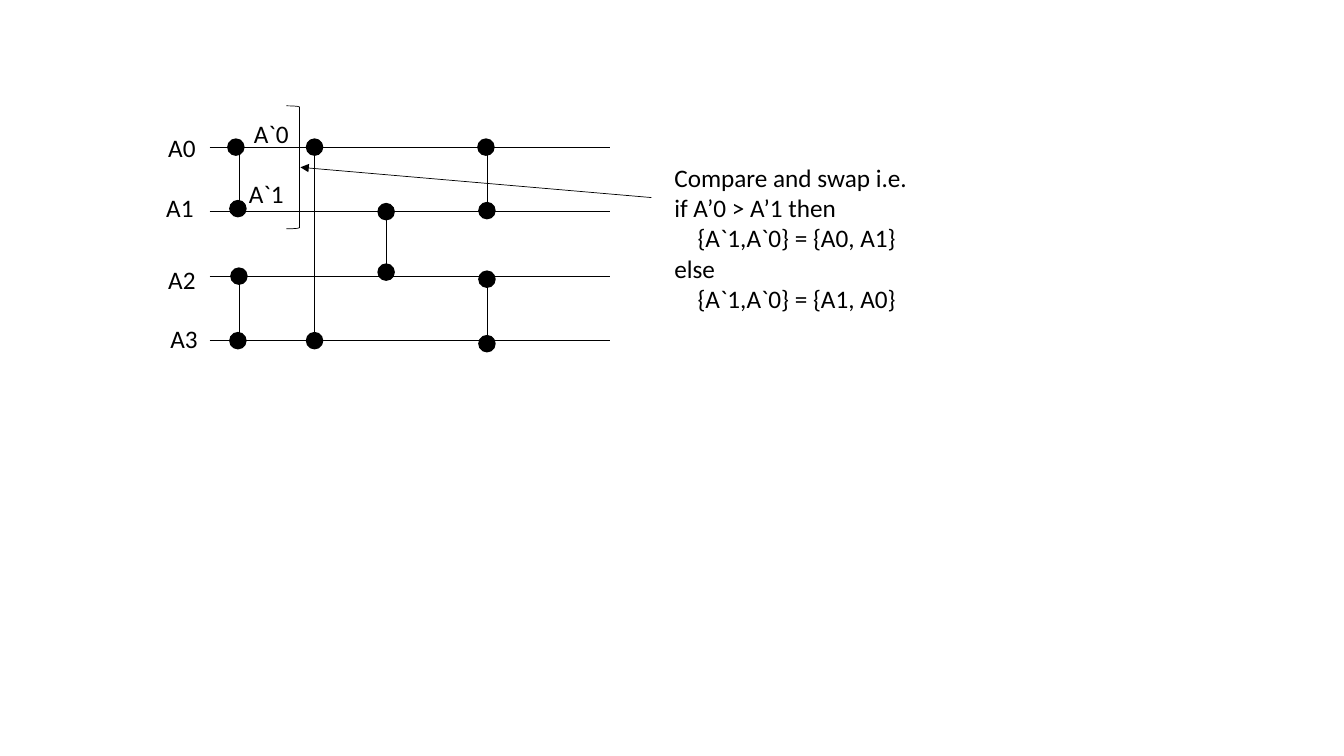
"""Build a slide showing a four-input compare-and-swap sorting network."""
from pptx import Presentation
from pptx.dml.color import RGBColor as RGB
from pptx.enum.shapes import MSO_CONNECTOR as CONN, MSO_SHAPE as SHAPE
from pptx.enum.text import MSO_AUTO_SIZE as AUTO
from pptx.oxml.ns import qn
from pptx.util import Pt
from lxml.etree import SubElement

PX = 9144
SLIDE = (1333, 750)
THEME = {
    "ink": RGB(0, 0, 0),
    "thin": Pt(0.5),
    "outline": Pt(1),
    "font": {"name": "Calibri", "size": Pt(18)},
    "frame": {"word_wrap": True, "auto_size": AUTO.SHAPE_TO_FIT_TEXT},
}

WIRE_LEFT, WIRE_RIGHT, WIRE_TOP, WIRE_GAP, WIRES = 208, 605, 146, 64, 4
COMPARATORS = [
    (237, 0, 1, (234, 146), (236, 207)),
    (237, 2, 3, (237, 274), (236, 338)),
    (312, 0, 3, (312, 146), (312, 338)),
    (383, 1, 2, (383, 210), (383, 270)),
    (483, 0, 1, (482, 146), (483, 209)),
    (483, 2, 3, (483, 277), (483, 341)),
]
DOT = 16
BRACKET = (284, 105, 13, 122)
ARROW = (646, 196, 298, 166)
INDENT = 23
LABELS = [
    ((157, 126, 58, 40), [("A0", 0)]),
    ((155, 186, 58, 40), [("A1", 0)]),
    ((157, 257, 58, 40), [("A2", 0)]),
    ((159, 316, 58, 40), [("A3", 0)]),
    ((242, 112, 70, 40), [("A`0", 0)]),
    ((237, 172, 70, 40), [("A`1", 0)]),
    ((659, 156, 270, 162), [
        ("Compare and swap i.e.", 0),
        ("if A’0 > A’1 then", 0),
        ("{A`1,A`0} = {A0, A1}", 1),
        ("else", 0),
        ("{A`1,A`0} = {A1, A0}", 1),
    ]),
]


def emu(values):
    return [v * PX for v in values]


def apply(target, formats):
    for name, value in formats.items():
        setattr(target, name, value)


def set_line(sp, width):
    sp.line.color.rgb = THEME["ink"]
    sp.line.width = width


def add_line(s, *ends, arrow=False):
    sp = s.shapes.add_connector(CONN.STRAIGHT, *emu(ends))
    set_line(sp, THEME["thin"])
    if arrow:
        SubElement(sp.line._get_or_add_ln(), qn("a:tailEnd"), type="triangle")
    SubElement(sp._element.spPr, qn("a:effectLst"))


def add_dot(s, x, y):
    box = (x - DOT // 2, y - DOT // 2, DOT, DOT)
    sp = s.shapes.add_shape(SHAPE.OVAL, *emu(box))
    sp.shadow.inherit = False
    sp.fill.solid()
    sp.fill.fore_color.rgb = THEME["ink"]
    set_line(sp, THEME["outline"])


def add_bracket(s):
    sp = s.shapes.add_shape(SHAPE.RIGHT_BRACKET, *emu(BRACKET))
    sp.shadow.inherit = False
    sp.fill.background()
    set_line(sp, THEME["thin"])


def add_label(s, box, lines):
    tf = s.shapes.add_textbox(*emu(box)).text_frame
    apply(tf, THEME["frame"])
    for i, (text, level) in enumerate(lines):
        p = tf.add_paragraph() if i else tf.paragraphs[0]
        if level:
            p._p.get_or_add_pPr().set("marL", str(level * INDENT * PX))
        r = p.add_run()
        r.text = text
        apply(r.font, THEME["font"])
        r.font.color.rgb = THEME["ink"]


def main():
    prs = Presentation()
    prs.slide_width, prs.slide_height = emu(SLIDE)
    s = prs.slides.add_slide(prs.slide_layouts[6])
    wires = [WIRE_TOP + i * WIRE_GAP for i in range(WIRES)]
    for y in wires:
        add_line(s, WIRE_LEFT, y, WIRE_RIGHT, y)
    for x, upper, lower, *dots in COMPARATORS:
        add_line(s, x, wires[upper], x, wires[lower])
        for dot in dots:
            add_dot(s, *dot)
    for box, lines in LABELS:
        add_label(s, box, lines)
    add_bracket(s)
    add_line(s, *ARROW, arrow=True)
    prs.save("out.pptx")


if __name__ == "__main__":
    main()
